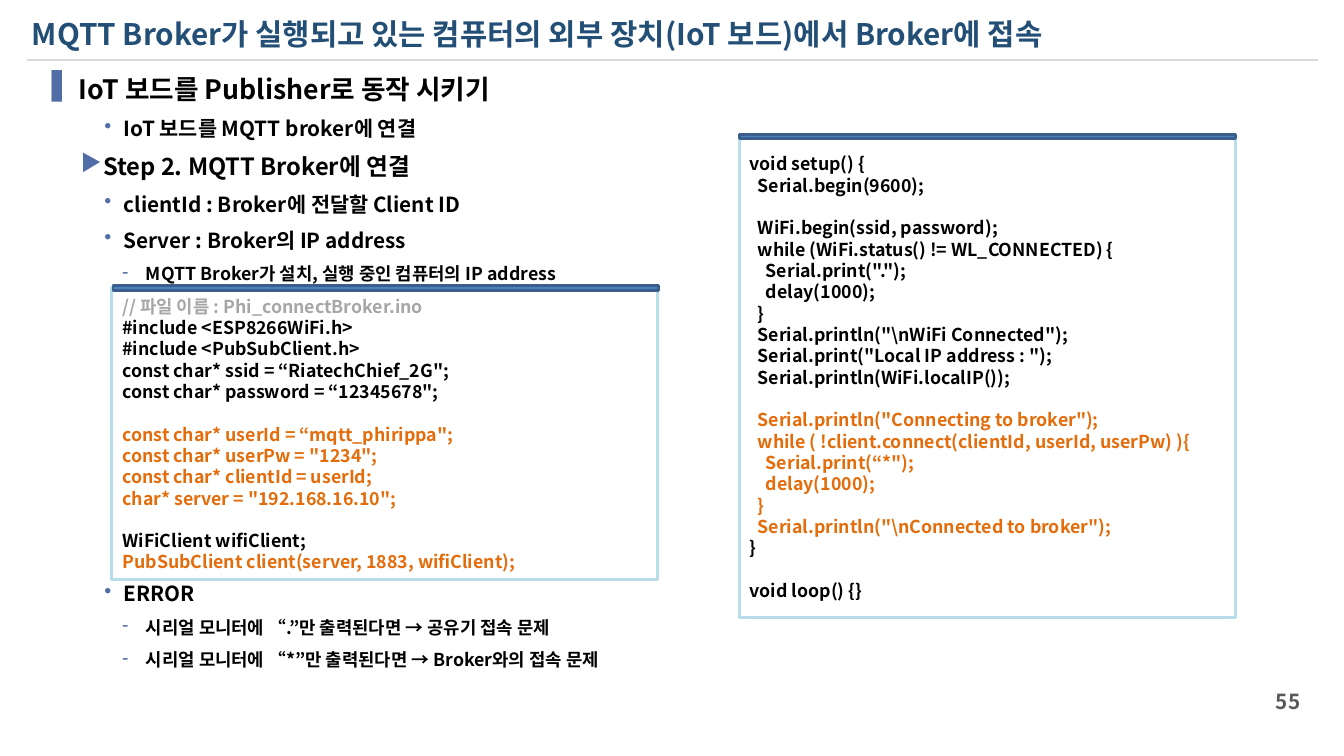
from dataclasses import dataclass
from typing import Optional

from lxml import etree
from pptx import Presentation
from pptx.dml.color import RGBColor
from pptx.enum.shapes import MSO_CONNECTOR, MSO_SHAPE
from pptx.enum.text import MSO_ANCHOR, PP_ALIGN
from pptx.oxml.ns import qn
from pptx.util import Pt

RECTANGLE, STRAIGHT = MSO_SHAPE.RECTANGLE, MSO_CONNECTOR.STRAIGHT
TOP, MIDDLE = MSO_ANCHOR.TOP, MSO_ANCHOR.MIDDLE
LEFT, RIGHT = PP_ALIGN.LEFT, PP_ALIGN.RIGHT

NAVY = RGBColor(0x23, 0x4F, 0x77)
BLACK = RGBColor(0x00, 0x00, 0x00)
ORANGE = RGBColor(0xE4, 0x6C, 0x0A)
COMMENT_GRAY = RGBColor(0xA6, 0xA6, 0xA6)
NUMBER_GRAY = RGBColor(0x59, 0x59, 0x59)
RULE_GRAY = RGBColor(0xD9, 0xD9, 0xD9)
BULLET_BLUE = RGBColor(0x50, 0x6E, 0xA5)
FRAME_BLUE = RGBColor(0xB7, 0xDE, 0xE8)
BAR_FILL = RGBColor(0x4F, 0x81, 0xBD)
BAR_LINE = RGBColor(0x3A, 0x5F, 0x8C)

FONT = "Noto Sans CJK KR"
TEXT_LEADING = 1.23
CODE_SIZE = 12
CODE_PITCH = 14.4
OUTLINE_GAP = 7


@dataclass(frozen=True)
class Box:
    left: float
    top: float
    width: float
    height: float


@dataclass(frozen=True)
class Level:
    bullet: str
    size: float
    margin: float
    hanging: float


@dataclass(frozen=True)
class Line:
    text: str
    size: float
    color: RGBColor = BLACK
    pitch: Optional[float] = None
    gap: float = 0
    level: Optional[Level] = None
    align: PP_ALIGN = LEFT


@dataclass(frozen=True)
class CodePanel:
    frame: Box
    bar: Box
    blocks: list[tuple[RGBColor, str]]


HEADING = Level("▐", 18, 25.2, 25.2)
STEP = Level("▶", 16, 41.76, 15.12)
POINT = Level("•", 14, 55.44, 12.96)
DETAIL = Level("-", 12, 70.56, 15.84)

OUTLINES = [
    (Box(20.9, 45.4, 688, 150), [
        (HEADING, "IoT 보드를 Publisher로 동작 시키기"),
        (POINT, "IoT 보드를 MQTT broker에 연결"),
        (STEP, "Step 2. MQTT Broker에 연결"),
        (POINT, "clientId : Broker에 전달할 Client ID"),
        (POINT, "Server : Broker의 IP address"),
        (DETAIL, "MQTT Broker가 설치, 실행 중인 컴퓨터의 IP address"),
    ]),
    (Box(20.9, 388.5, 688, 70), [
        (POINT, "ERROR"),
        (DETAIL, "시리얼 모니터에 “.”만 출력된다면 → 공유기 접속 문제"),
        (DETAIL, "시리얼 모니터에 “*”만 출력된다면 → Broker와의 접속 문제"),
    ]),
]

# An empty line inside a block becomes space before the next line
CODE_PANELS = [
    CodePanel(Box(75.6, 194.4, 368, 197.3), Box(76.3, 193, 368, 2.9), [
        (COMMENT_GRAY, "// 파일 이름 : Phi_connectBroker.ino"),
        (BLACK, r"""#include <ESP8266WiFi.h>
#include <PubSubClient.h>
const char* ssid = “RiatechChief_2G";
const char* password = “12345678";
"""),
        (ORANGE, r"""const char* userId = “mqtt_phirippa";
const char* userPw = "1234";
const char* clientId = userId;
char* server = "192.168.16.10";
"""),
        (BLACK, "WiFiClient wifiClient;"),
        (ORANGE, "PubSubClient client(server, 1883, wifiClient);"),
    ]),
    CodePanel(Box(499, 92.2, 334.8, 324.7), Box(499, 90.7, 334.8, 2.9), [
        (BLACK, r"""void setup() {
  Serial.begin(9600);

  WiFi.begin(ssid, password);
  while (WiFi.status() != WL_CONNECTED) {
    Serial.print(".");
    delay(1000);
  }
  Serial.println("\nWiFi Connected");
  Serial.print("Local IP address : ");
  Serial.println(WiFi.localIP());
"""),
        (ORANGE, r"""  Serial.println("Connecting to broker");
  while ( !client.connect(clientId, userId, userPw) ){
    Serial.print(“*");
    delay(1000);
  }
  Serial.println("\nConnected to broker");"""),
        (BLACK, "}\n\nvoid loop() {}"),
    ]),
]


def add_bullet(paragraph, level: Level) -> None:
    properties = paragraph._p.get_or_add_pPr()
    properties.set("marL", str(Pt(level.margin)))
    properties.set("indent", str(-Pt(level.hanging)))
    color = etree.SubElement(properties, qn("a:buClr"))
    etree.SubElement(color, qn("a:srgbClr"), val=str(BULLET_BLUE))
    etree.SubElement(properties, qn("a:buChar"), char=level.bullet)


def write_lines(shape, lines: list[Line], anchor: MSO_ANCHOR = TOP) -> None:
    frame = shape.text_frame
    frame.word_wrap = True
    frame.vertical_anchor = anchor
    for index, line in enumerate(lines):
        paragraph = frame.add_paragraph() if index else frame.paragraphs[0]
        paragraph.text = line.text
        if line.level:
            add_bullet(paragraph, line.level)
        paragraph.alignment = line.align
        paragraph.line_spacing = Pt(line.pitch or line.size * TEXT_LEADING)
        if index:
            paragraph.space_before = Pt(line.gap)
        font = paragraph.font
        font.name, font.size, font.bold = FONT, Pt(line.size), True
        font.color.rgb = line.color
        defaults = paragraph._p.pPr.find(qn("a:defRPr"))
        etree.SubElement(defaults, qn("a:ea"), typeface=FONT)


def add_text(slide, box: Box, lines: list[Line], anchor: MSO_ANCHOR = TOP) -> None:
    shape = slide.shapes.add_textbox(Pt(box.left), Pt(box.top), Pt(box.width), Pt(box.height))
    write_lines(shape, lines, anchor)


def add_rectangle(slide, box: Box, outline: RGBColor, fill: Optional[RGBColor] = None):
    shape = slide.shapes.add_shape(
        RECTANGLE, Pt(box.left), Pt(box.top), Pt(box.width), Pt(box.height))
    shape.shadow.inherit = False
    if fill is None:
        shape.fill.background()
    else:
        shape.fill.solid()
        shape.fill.fore_color.rgb = fill
    shape.line.color.rgb = outline
    shape.line.width = Pt(2)
    return shape


def code_lines(blocks: list[tuple[RGBColor, str]]) -> list[Line]:
    lines, gap = [], 0
    for color, block in blocks:
        for text in block.split("\n"):
            if text:
                lines.append(Line(text, CODE_SIZE, color, CODE_PITCH, gap))
            gap = 0 if text else CODE_PITCH
    return lines


def main() -> None:
    presentation = Presentation()
    presentation.slide_width, presentation.slide_height = Pt(907.2), Pt(510.5)
    slide = presentation.slides.add_slide(presentation.slide_layouts[6])

    # Title and rule
    rule = slide.shapes.add_connector(STRAIGHT, Pt(18), Pt(40.3), Pt(889.9), Pt(40.3))
    rule.line.color.rgb, rule.line.width = RULE_GRAY, Pt(1.5)
    etree.SubElement(rule._element.spPr, qn("a:effectLst"))
    title = "MQTT Broker가 실행되고 있는 컴퓨터의 외부 장치(IoT 보드)에서 Broker에 접속"
    add_text(slide, Box(14.4, 6.5, 854, 31.7), [Line(title, 20, NAVY)])

    # Outline above and below the code
    for box, items in OUTLINES:
        add_text(slide, box, [Line(text, level.size, gap=OUTLINE_GAP, level=level)
                              for level, text in items])

    # Code panels with their top bars
    for panel in CODE_PANELS:
        write_lines(add_rectangle(slide, panel.frame, FRAME_BLUE),
                    code_lines(panel.blocks), MIDDLE)
        add_rectangle(slide, panel.bar, BAR_LINE, BAR_FILL)

    # Page number
    add_text(slide, Box(817.2, 459.4, 67.7, 27.4),
             [Line("55", 14, NUMBER_GRAY, align=RIGHT)], MIDDLE)
    presentation.save("out.pptx")


if __name__ == "__main__":
    main()
